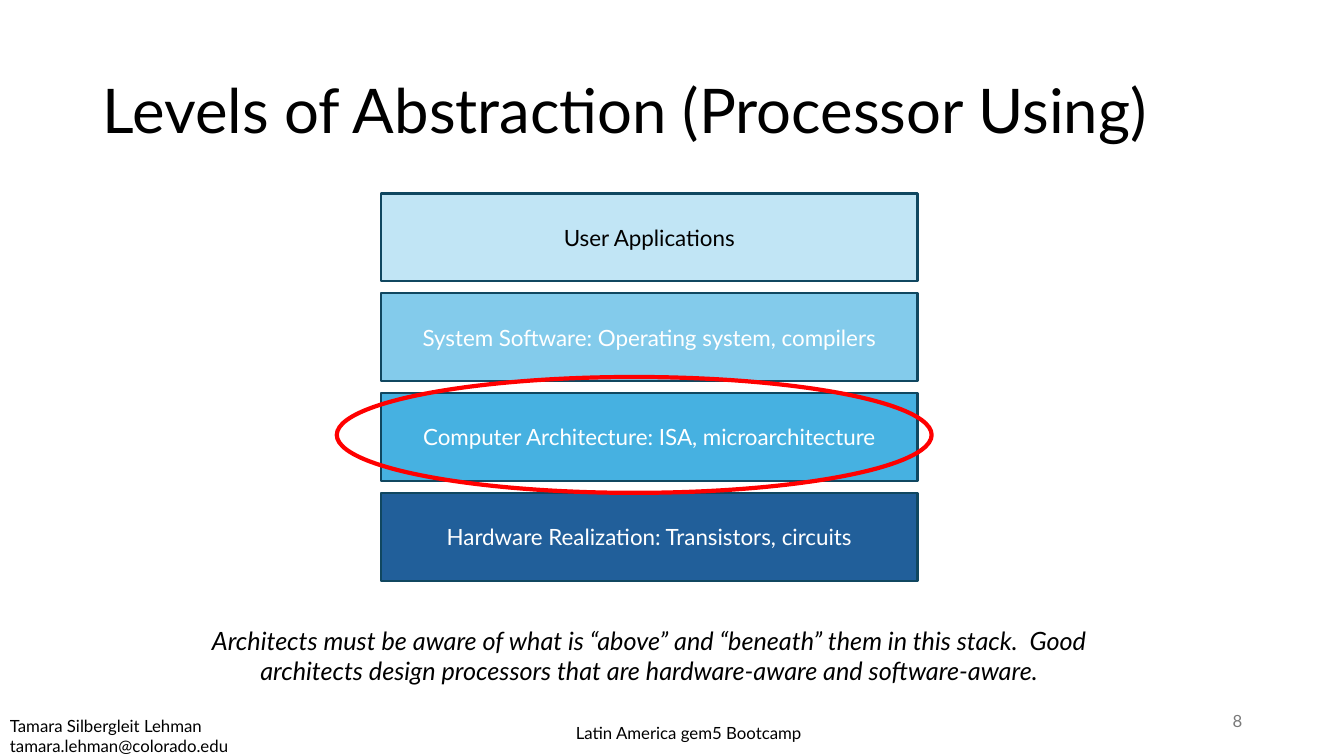
from pptx import Presentation, util as u
from pptx.dml.color import RGBColor
from pptx.enum import shapes, text

WIDE, HIGH = u.Inches(13.33), u.Inches(7.5)
FONT = "Lato"
HUES = {
    "black": "000000", "white": "FFFFFF", "grey": "797979",
    "edge": "104760", "red": "FF0000",
    "navy": "215F9A", "blue": "46B1E1", "sky": "83CBEB", "pale": "C1E5F5",
}
LEFT, MID, RIGHT = (text.PP_ALIGN.LEFT, text.PP_ALIGN.CENTER,
                    text.PP_ALIGN.RIGHT)
TOP, CORE = text.MSO_ANCHOR.TOP, text.MSO_ANCHOR.MIDDLE

# Layers from the top of the stack down: label, fill, text colour
LAYERS = [
    ("User Applications", "pale", "black"),
    ("System Software: Operating system, compilers", "sky", "white"),
    ("Computer Architecture: ISA, microarchitecture", "blue", "white"),
    ("Hardware Realization: Transistors, circuits", "navy", "white"),
]
# Stack geometry, in percent of the slide
STACK_X, STACK_Y, STACK_W, LAYER_H, PITCH = 28.36, 25.6, 39.91, 11.6, 13.2


def hue(name):
    return RGBColor.from_string(HUES[name])


def area(x, y, w, h):
    """Turn percentages of the slide into lengths."""
    return (int(WIDE * x / 100), int(HIGH * y / 100),
            int(WIDE * w / 100), int(HIGH * h / 100))


def write(shape, words, size, color="black", align=LEFT, anchor=CORE,
          italic=False):
    frame = shape.text_frame
    frame.text = words
    frame.word_wrap = True
    frame.vertical_anchor = anchor
    para = frame.paragraphs[0]
    para.alignment = align
    for run in para.runs:
        font = run.font
        font.name, font.size, font.italic = FONT, u.Pt(size), italic
        font.color.rgb = hue(color)


def add_title(slide, words, box):
    title = slide.shapes.title
    title.left, title.top, title.width, title.height = area(*box)
    write(title, words, 44)
    title.text_frame.auto_size = text.MSO_AUTO_SIZE.NONE
    title.text_frame.paragraphs[0].line_spacing = 0.9


def add_form(slide, kind, box, edge, weight, fill=None):
    form = slide.shapes.add_shape(kind, *area(*box))
    form.shadow.inherit = False
    if fill:
        form.fill.solid()
        form.fill.fore_color.rgb = hue(fill)
    else:
        form.fill.background()
    form.line.color.rgb = hue(edge)
    form.line.width = u.Pt(weight)
    return form


def add_label(slide, words, box, size, **style):
    label = slide.shapes.add_textbox(*area(*box))
    write(label, words, size, **style)


def add_stack(slide):
    for row, (words, fill, color) in reversed(list(enumerate(LAYERS))):
        box = STACK_X, STACK_Y + row * PITCH, STACK_W, LAYER_H
        layer = add_form(slide, shapes.MSO_SHAPE.RECTANGLE, box,
                         "edge", 1.5, fill)
        write(layer, words, 16, color, MID)


def main():
    deck = Presentation()
    deck.slide_width, deck.slide_height = WIDE, HIGH
    slide = deck.slides.add_slide(deck.slide_layouts[5])

    # Title and stack of layers
    add_title(slide, "Levels of Abstraction (Processor Using)",
              (6.9, 5.33, 86.27, 19.33))
    add_stack(slide)

    # Takeaway below the stack, ring around the architecture layer
    add_label(slide, "Architects must be aware of what is “above” and "
              "“beneath” them in this stack.  Good architects design "
              "processors that are hardware-aware and software-aware.",
              (14.55, 82, 67.52, 7.6), 18, align=MID, anchor=TOP, italic=True)
    add_form(slide, shapes.MSO_SHAPE.OVAL, (25.06, 49.87, 44.26, 15.33),
             "red", 3)

    # Footer: page number, author, event
    add_label(slide, "8", (70.67, 92.67, 22.51, 5.33), 12,
              color="grey", align=RIGHT)
    add_label(slide, "Tamara Silbergleit Lehman tamara.lehman@colorado.edu",
              (0, 94.67, 22.51, 5.33), 12)
    add_label(slide, "Latin America gem5 Bootcamp",
              (34.36, 94.93, 33.76, 5.33), 12, align=MID, anchor=TOP)

    deck.save("out.pptx")


if __name__ == "__main__":
    main()
